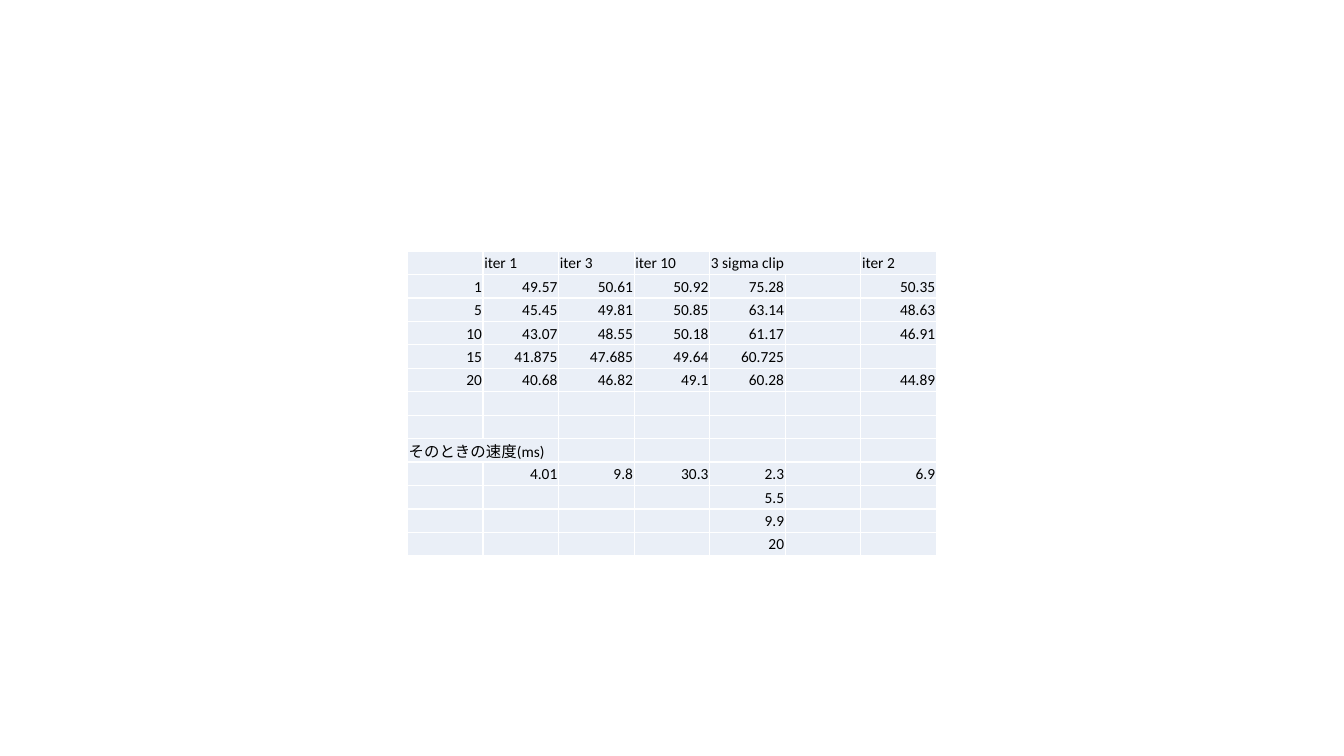
from dataclasses import dataclass

from lxml.etree import SubElement
from pptx import Presentation
from pptx.dml.color import RGBColor as RGB
from pptx.enum.text import MSO_ANCHOR as Anchor, PP_ALIGN as Align
from pptx.oxml.ns import qn
from pptx.util import Cm, Pt


@dataclass(frozen=True)
class Theme:
    """Colours, font and sizes of the slide."""
    fill: str = "EAEFF7"
    border: str = "FFFFFF"
    text: str = "000000"
    font: str = "Calibri"
    size: int = 11
    border_width: int = 1


THEME = Theme()
HEADINGS = ["iter 1", "iter 3", "iter 10", "3 sigma clip", "", "iter 2"]
SPEED_LABEL = "そのときの速度(ms)"
ROWS = [
    ["", *HEADINGS],
    ["1", "49.57", "50.61", "50.92", "75.28", "", "50.35"],
    ["5", "45.45", "49.81", "50.85", "63.14", "", "48.63"],
    ["10", "43.07", "48.55", "50.18", "61.17", "", "46.91"],
    ["15", "41.875", "47.685", "49.64", "60.725", "", ""],
    ["20", "40.68", "46.82", "49.1", "60.28", "", "44.89"],
    [""] * 7,
    [""] * 7,
    [SPEED_LABEL] + [""] * 6,
    ["", "4.01", "9.8", "30.3", "2.3", "", "6.9"],
    *[[""] * 4 + [speed, "", ""] for speed in ("5.5", "9.9", "20")],
]
MERGES = [(0, 4), (8, 0)]


def add_borders(cell):
    """Draw the four thin borders of a cell."""
    tc_pr = cell._tc.get_or_add_tcPr()
    for side in ("a:lnL", "a:lnR", "a:lnT", "a:lnB"):
        ln = SubElement(tc_pr, qn(side), w=str(Pt(THEME.border_width)))
        solid = SubElement(ln, qn("a:solidFill"))
        SubElement(solid, qn("a:srgbClr"), val=THEME.border)


def fill_cell(cell, text):
    """Write one cell, with numbers aligned to the right."""
    cell.margin_left = cell.margin_right = cell.margin_top = Cm(0.03)
    cell.margin_bottom = 0
    cell.vertical_anchor = Anchor.MIDDLE
    add_borders(cell)
    cell.fill.solid()
    cell.fill.fore_color.rgb = RGB.from_string(THEME.fill)
    p = cell.text_frame.paragraphs[0]
    if not text:
        SubElement(p._p, qn("a:endParaRPr"), sz=str(THEME.size * 100))
        return
    p.text = text
    p.alignment = Align.RIGHT if text[0].isdigit() and text not in HEADINGS else Align.LEFT
    font = p.runs[0].font
    font.name, font.size = THEME.font, Pt(THEME.size)
    font.color.rgb = RGB.from_string(THEME.text)


def add_results_table(s, left, top, width, height):
    """Place the table of accuracy and speed in the given box."""
    table = s.shapes.add_table(len(ROWS), len(ROWS[0]), left, top, width, height).table
    table.first_row = table.horz_banding = False
    for row, values in zip(table.rows, ROWS):
        for cell, text in zip(row.cells, values):
            fill_cell(cell, text)
    for row, col in MERGES:
        table.cell(row, col).merge(table.cell(row, col + 1))


def main():
    """Build and save the slide."""
    prs = Presentation()
    prs.slide_width, prs.slide_height = Cm(33.87), Cm(19.05)
    s = prs.slides.add_slide(prs.slide_layouts[6])
    add_results_table(s, Cm(10.27), Cm(6.33), Cm(13.33), Cm(0.59) * len(ROWS))
    prs.save("out.pptx")


if __name__ == "__main__":
    main()
